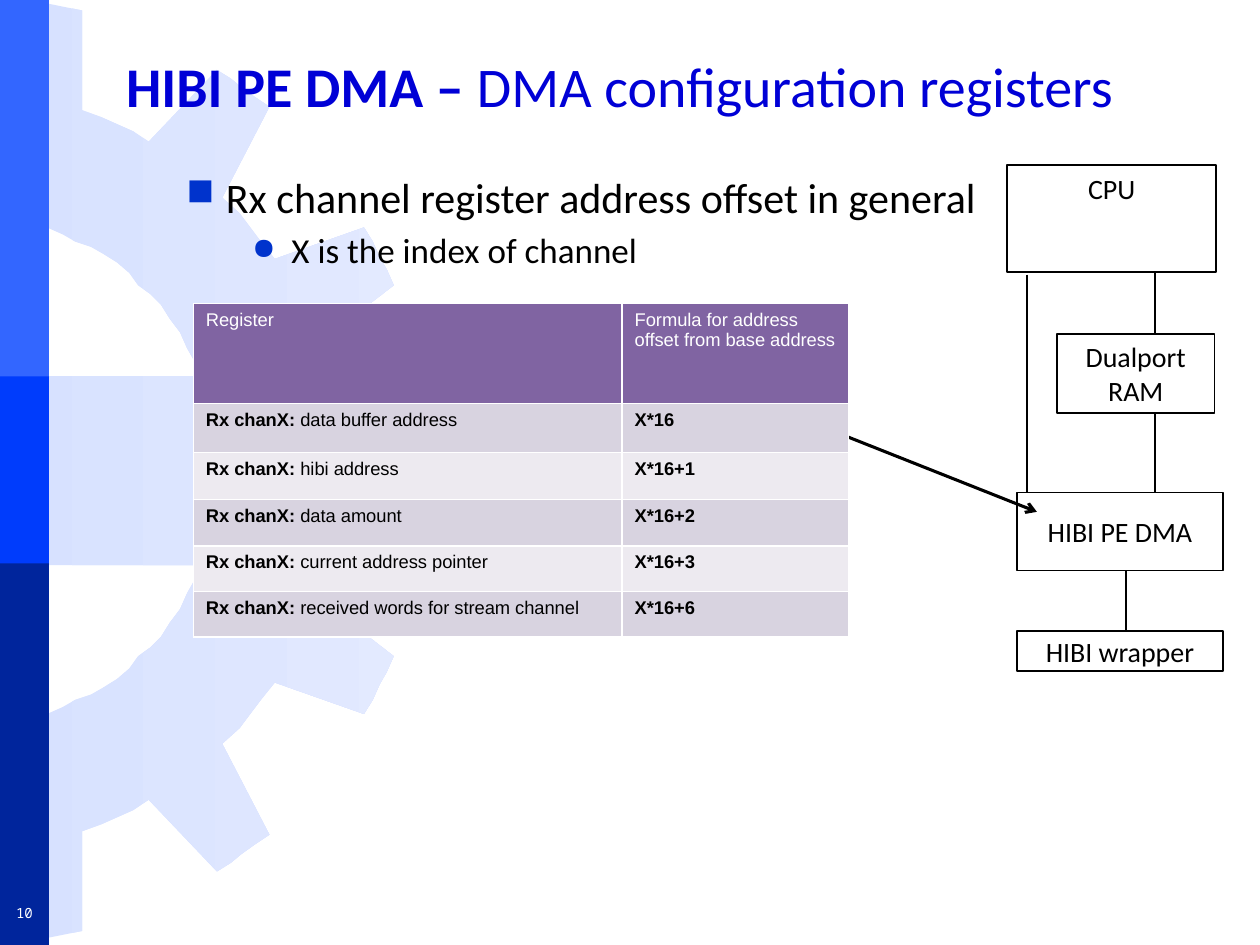
from dataclasses import dataclass

from lxml.etree import SubElement as Sub
from pptx import Presentation
from pptx.dml.color import RGBColor as RGB
from pptx.enum.shapes import MSO_CONNECTOR as Link, MSO_SHAPE as Form
from pptx.enum.text import MSO_ANCHOR as Anchor, PP_ALIGN as Align
from pptx.oxml.ns import qn
from pptx.util import Pt


@dataclass(frozen=True)
class Theme:
    black: str = "000000"
    white: str = "FFFFFF"
    title: str = "0000D6"
    bullet: str = "0033CC"
    gear: tuple = ("D7E1FF", "E3EAFF")
    bars: tuple = ("3366FF", "00259C", "003CFC")
    head: str = "8064A2"
    bands: tuple = ("D8D3E0", "EDEAF0")
    face: str = "Calibri"
    grid: str = "Arial"
    mono: str = "Noto Sans Mono"
    big: float = 32
    main: float = 24
    minor: float = 20
    label: float = 16
    cell: float = 10.5
    tiny: float = 8


GEAR = [
    (246, 269), (246, 258), (244, 250), (190, 240), (189, 230), (186, 220),
    (183, 210), (181, 197), (225, 163), (221, 154), (217, 147), (213, 138),
    (208, 130), (157, 148), (149, 138), (143, 130), (137, 122), (127, 113),
    (154, 61), (145, 55), (138, 50), (132, 45), (124, 40), (85, 81),
    (76, 75), (67, 71), (58, 67), (47, 63), (47, 6), (37, 4), (27, 2),
    (19, 1), (9, 0), (9, 127), (19, 130), (27, 130), (36, 134), (43, 138),
    (52, 141), (59, 145), (67, 150), (74, 156), (79, 163), (86, 168),
    (92, 174), (97, 182), (103, 190), (107, 199), (111, 206), (114, 215),
    (0, 215),
]
ROWS = [
    ("Rx chanX: ", "data buffer address", "X*16"),
    ("Rx chanX: ", "hibi address", "X*16+1"),
    ("Rx chanX: ", "data amount", "X*16+2"),
    ("Rx chanX:", " current address pointer", "X*16+3"),
    ("Rx chanX: ", "received words for stream channel", "X*16+6"),
]


class Deck:
    """Draws styled elements on the current slide, measured in points."""

    def __init__(self, theme, wide, high):
        self.theme = theme
        self.file = Presentation()
        self.file.slide_width, self.file.slide_height = Pt(wide), Pt(high)
        self.slide = self.file.slides.add_slide(self.file.slide_layouts[6])
        self.shapes = self.slide.shapes

    def text(self, para, words, size, color=None, bold=False, face=None):
        run = para.add_run()
        run.text = words
        font = run.font
        font.size, font.bold = Pt(size), bold
        font.name = face or self.theme.face
        font.color.rgb = RGB.from_string(color or self.theme.black)

    def frame(self, x, y, w, h, anchor=Anchor.TOP, wrap=True):
        frame = self.shapes.add_textbox(Pt(x), Pt(y), Pt(w), Pt(h)).text_frame
        frame.word_wrap, frame.vertical_anchor = wrap, anchor
        return frame

    def bullet(self, para, mark, scale, left, gap=0, level=0):
        para.level = level
        props = para._p.get_or_add_pPr()
        props.set("marL", str(Pt(left)))
        props.set("indent", str(-Pt(22.5)))
        tint = Sub(props, qn("a:buClr"))
        Sub(tint, qn("a:srgbClr"), val=self.theme.bullet)
        Sub(props, qn("a:buSzPct"), val=str(scale * 1000))
        Sub(props, qn("a:buChar"), char=mark)
        if gap:
            para.space_before = Pt(gap)

    def gear(self, half, axis):
        under = [(x, 2 * axis - y) for x, y in reversed(half[1:])]
        start, *rest = half + under
        pen = self.shapes.build_freeform(*start, scale=Pt(1))
        pen.add_line_segments(rest, close=True)
        shape = pen.convert_to_shape()
        shape.shadow.inherit = False
        shape.line.fill.background()
        shape.fill.gradient()
        shape.fill.gradient_angle = 0
        for stop, color in zip(shape.fill.gradient_stops, self.theme.gear):
            stop.color.rgb = RGB.from_string(color)

    def rect(self, x, y, w, h, fill, edge=None):
        shape = self.shapes.add_shape(Form.RECTANGLE, Pt(x), Pt(y), Pt(w), Pt(h))
        shape.shadow.inherit = False
        shape.fill.solid()
        shape.fill.fore_color.rgb = RGB.from_string(fill)
        if edge:
            shape.line.color.rgb = RGB.from_string(edge)
            shape.line.width = Pt(1)
        else:
            shape.line.fill.background()
        return shape

    def block(self, x, y, w, h, lines, anchor=Anchor.MIDDLE):
        frame = self.rect(x, y, w, h, self.theme.white, self.theme.black).text_frame
        frame.word_wrap, frame.vertical_anchor = True, anchor
        for i, words in enumerate(lines):
            para = frame.add_paragraph() if i else frame.paragraphs[0]
            para.alignment = Align.CENTER
            self.text(para, words, self.theme.label)

    def line(self, x1, y1, x2, y2, width=1, arrow=False):
        line = self.shapes.add_connector(Link.STRAIGHT, Pt(x1), Pt(y1), Pt(x2), Pt(y2))
        line.line.color.rgb = RGB.from_string(self.theme.black)
        line.line.width = Pt(width)
        if arrow:
            Sub(line.line._get_or_add_ln(), qn("a:tailEnd"), type="arrow")
        Sub(line._element.spPr, qn("a:effectLst"))

    def cell(self, cell, fill, runs, color):
        props = cell._tc.get_or_add_tcPr()
        for side in ("lnL", "lnR", "lnT", "lnB"):
            edge = Sub(props, qn(f"a:{side}"), w=str(Pt(1)))
            Sub(Sub(edge, qn("a:solidFill")), qn("a:srgbClr"), val=self.theme.white)
        cell.fill.solid()
        cell.fill.fore_color.rgb = RGB.from_string(fill)
        for words, bold in runs:
            self.text(cell.text_frame.paragraphs[0], words, self.theme.cell,
                      color, bold, self.theme.grid)

    def table(self, x, y, wides, highs, head, rows):
        theme = self.theme
        table = self.shapes.add_table(len(highs), len(wides), Pt(x), Pt(y),
                                      Pt(sum(wides)), Pt(sum(highs))).table
        for col, wide in zip(table.columns, wides):
            col.width = Pt(wide)
        for row, high in zip(table.rows, highs):
            row.height = Pt(high)
        for i, words in enumerate(head):
            self.cell(table.cell(0, i), theme.head, [(words, False)], theme.white)
        for i, (name, role, rule) in enumerate(rows):
            fill = theme.bands[i % 2]
            pairs = [(name, True), (role, False)], [(rule, True)]
            for j, runs in enumerate(pairs):
                self.cell(table.cell(i + 1, j), fill, runs, theme.black)


def main():
    theme = Theme()
    deck = Deck(theme, 720, 540)

    deck.gear(GEAR, 269)
    for (y, h), color in zip([(0, 220), (321, 219), (215, 107)], theme.bars):
        deck.rect(0, y, 28, h, color)
    deck.line(660, 151, 660, 281.5)
    deck.line(643.5, 298, 643.5, 378)

    title = deck.frame(65, 15, 623.5, 67.5, Anchor.MIDDLE).paragraphs[0]
    deck.text(title, "HIBI PE DMA – ", theme.big, theme.title, True)
    deck.text(title, "DMA configuration registers", theme.big, theme.title)

    body = deck.frame(99.5, 94.5, 576.5, 404)
    para = body.paragraphs[0]
    deck.bullet(para, "■", 90, 22.5)
    deck.text(para, "Rx channel register address offset in general", theme.main)
    para = body.add_paragraph()
    deck.bullet(para, "●", 85, 60, 4, 1)
    deck.text(para, "X is the index of channel", theme.minor)

    page = deck.frame(0, 512, 28, 19, Anchor.MIDDLE, False).paragraphs[0]
    page.alignment = Align.CENTER
    deck.text(page, "10", theme.tiny, theme.white, face=theme.mono)

    deck.block(575.5, 94.5, 119.5, 61, ["CPU"], Anchor.TOP)
    deck.block(581, 281.5, 118, 44.5, ["HIBI PE DMA"])
    deck.block(604, 191, 90, 45, ["Dualport", "RAM"])
    deck.block(581, 360.5, 118, 23, ["HIBI wrapper"])
    deck.line(587, 157, 587, 281.5)
    deck.line(479, 247.5, 592.5, 292.5, 1.75, True)

    deck.table(110.5, 173.5, [245, 129.5], [57, 28, 27, 26.5, 26, 26],
               ["Register", "Formula for address offset from base address"], ROWS)
    deck.file.save("out.pptx")


if __name__ == "__main__":
    main()
